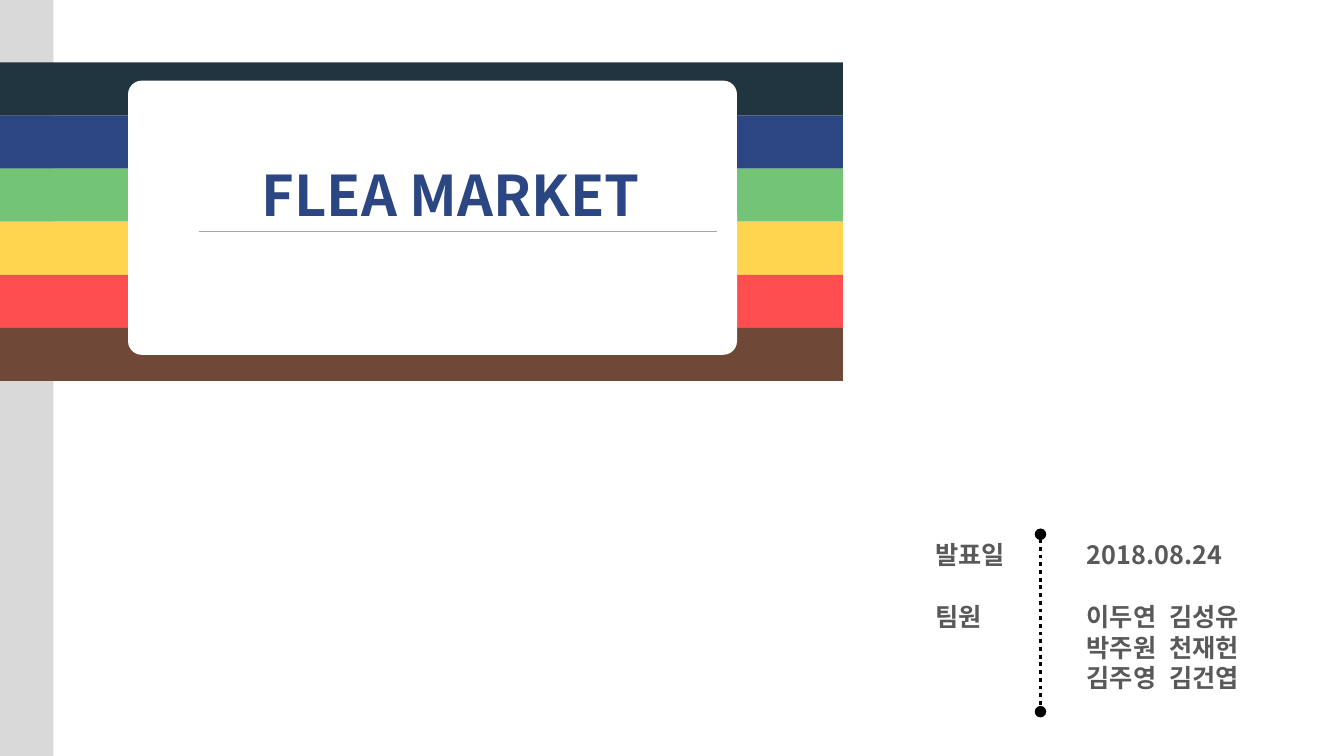
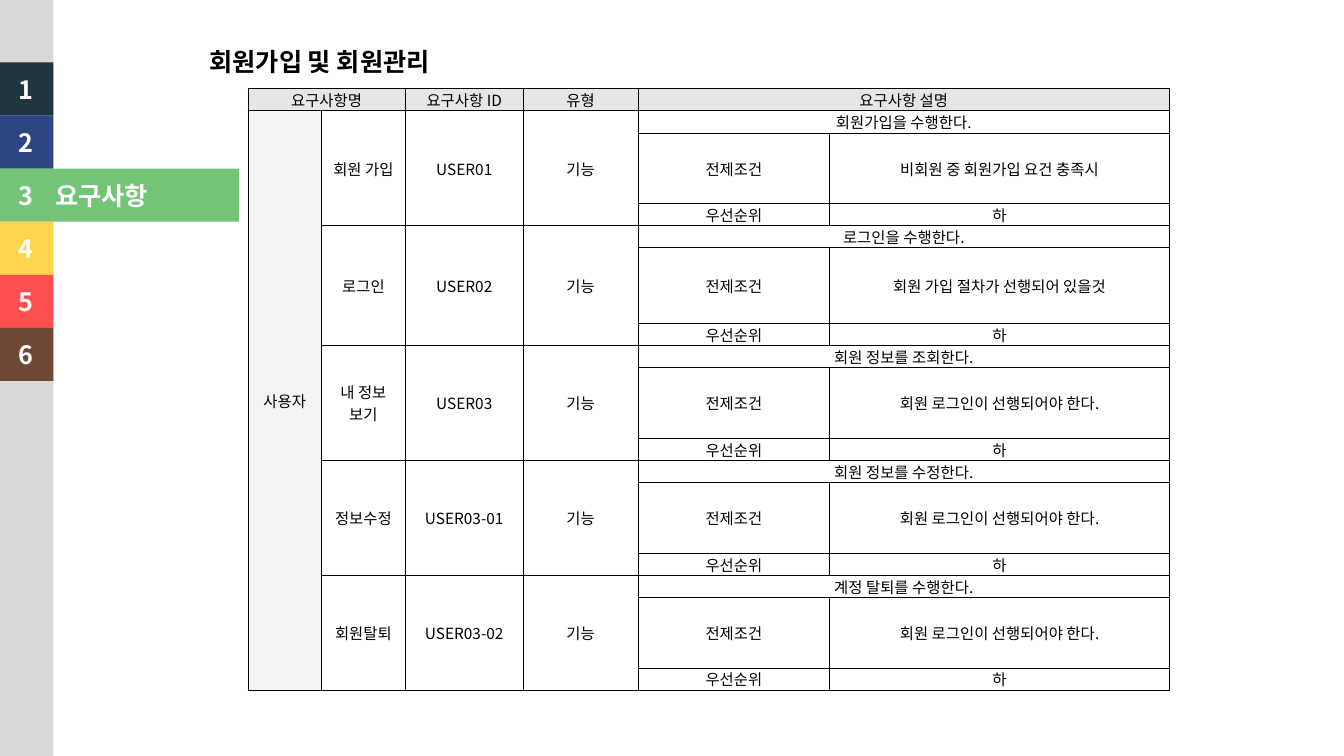
from lxml.etree import SubElement
from pptx import Presentation
from pptx.dml.color import RGBColor
from pptx.enum.dml import MSO_LINE
from pptx.enum.shapes import MSO_CONNECTOR, MSO_SHAPE
from pptx.enum.text import MSO_ANCHOR, PP_ALIGN
from pptx.oxml.ns import qn
from pptx.util import Inches, Pt

FONT = "Noto Sans CJK KR"
GREY, WHITE, BLACK, DARK_GREY = "D9D9D9", "FFFFFF", "000000", "595959"
NAVY, GREEN, RED = "2B4682", "74C478", "FE4E50"
BAND_COLORS = ["213540", NAVY, GREEN, "FFD44E", RED, "704837"]
BAND_TOP, BAND_HEIGHT = 0.62, 3.16 / 6
SIDEBAR_WIDTH, COVER_BAND_WIDTH, CURRENT_TAB_WIDTH = 0.53, 8.36, 2.37
CURRENT_TAB = 2
LINE_RATIO = 1.22
hex_color = RGBColor.from_string


def add_block(slide, left, top, width, height, color, kind=MSO_SHAPE.RECTANGLE):
    block = slide.shapes.add_shape(
        kind, Inches(left), Inches(top), Inches(width), Inches(height))
    block.shadow.inherit = False
    block.fill.solid()
    block.fill.fore_color.rgb = hex_color(color)
    block.line.fill.background()
    return block


def write(frame, text, size, color, bold=False, align=PP_ALIGN.LEFT):
    for index, line in enumerate(text.split("\n")):
        paragraph = frame.paragraphs[0] if index == 0 else frame.add_paragraph()
        paragraph.alignment = align
        run = paragraph.add_run()
        run.text = line
        run.font.size = Pt(size)
        run.font.bold = bold
        run.font.name = FONT
        run.font.color.rgb = hex_color(color)
        SubElement(run.font._element, qn("a:ea"), typeface=FONT)


prs = Presentation()
prs.slide_width, prs.slide_height = Inches(13.33), Inches(7.5)
cover, requirements = [prs.slides.add_slide(prs.slide_layouts[6]) for _ in range(2)]

for slide in (cover, requirements):
    add_block(slide, 0, 0, SIDEBAR_WIDTH, 7.5, GREY)
    for index, color in enumerate(BAND_COLORS):
        if slide is cover:
            width = COVER_BAND_WIDTH
        else:
            width = CURRENT_TAB_WIDTH if index == CURRENT_TAB else SIDEBAR_WIDTH
        add_block(slide, 0, BAND_TOP + index * BAND_HEIGHT, width, BAND_HEIGHT, color)

card = add_block(cover, 1.27, 0.8, 6.04, 2.72, WHITE, MSO_SHAPE.ROUNDED_RECTANGLE)
card.adjustments[0] = 0.05

rules = []
for x1, y1, x2, y2, color, weight in [
    (1.97, 2.3, 7.11, 2.3, "A6A6A6", 0.5),
    (10.32, 5.3, 10.32, 7.06, BLACK, 2.75),
]:
    rule = cover.shapes.add_connector(
        MSO_CONNECTOR.STRAIGHT, Inches(x1), Inches(y1), Inches(x2), Inches(y2))
    rule.line.color.rgb = hex_color(color)
    rule.line.width = Pt(weight)
    SubElement(rule._element.spPr, qn("a:effectLst"))
    rules.append(rule)
divider = rules[1]
divider.line.dash_style = MSO_LINE.ROUND_DOT
for end in ("a:headEnd", "a:tailEnd"):
    SubElement(divider.line._get_or_add_ln(), qn(end), type="oval")

labels = [
    (cover, 1.9, 1.53, 5.14, 0.77, "FLEA MARKET", 40, NAVY, PP_ALIGN.CENTER),
    (cover, 9.18, 5.3, 0.98, 0.4, "발표일", 18, DARK_GREY, PP_ALIGN.LEFT),
    (cover, 9.18, 5.91, 0.98, 0.4, "팀원", 18, DARK_GREY, PP_ALIGN.LEFT),
    (cover, 10.68, 5.3, 2, 1.62,
     "2018.08.24\n이두연\t김성유\n박주원\t천재헌\n김주영\t김건엽",
     18, DARK_GREY, PP_ALIGN.LEFT),
    (requirements, 0.45, 1.73, 1.8, 0.4, "요구사항", 18, WHITE, PP_ALIGN.LEFT),
    (requirements, 1.98, 0.41, 4, 0.4, "회원가입 및 회원관리", 18, BLACK, PP_ALIGN.LEFT),
]
for index in range(len(BAND_COLORS)):
    labels.append((requirements, 0.09, BAND_TOP + 0.06 + index * BAND_HEIGHT, 0.5, 0.4,
                   str(index + 1), 18, WHITE, PP_ALIGN.LEFT))

frames = {}
for slide, left, top, width, height, text, size, color, align in labels:
    frame = slide.shapes.add_textbox(
        Inches(left), Inches(top), Inches(width), Inches(height)).text_frame
    frame.word_wrap = True
    write(frame, text, size, color, True, align)
    for paragraph in frame.paragraphs:
        paragraph.line_spacing = Pt(size * LINE_RATIO)
    frames[text] = frame

title_fill = frames["FLEA MARKET"].paragraphs[0].runs[0].font.fill
title_fill.gradient()
title_fill.gradient_angle = 0
for stop, color in zip(title_fill.gradient_stops, (NAVY, RED)):
    stop.color.rgb = hex_color(color)

team_lines = frames[labels[3][5]].paragraphs[1:]
team_lines[0].space_before = Pt(22)
for team_line in team_lines:
    tabs = SubElement(team_line._p.get_or_add_pPr(), qn("a:tabLst"))
    SubElement(tabs, qn("a:tab"), pos=str(Inches(0.82)), algn="l")

features = [
    ("회원 가입", "USER01", "회원가입을 수행한다.", "비회원 중 회원가입 요건 충족시", 0.7),
    ("로그인", "USER02", "로그인을 수행한다.", "회원 가입 절차가 선행되어 있을것", 0.75),
    ("내 정보\n보기", "USER03", "회원 정보를 조회한다.", "회원 로그인이 선행되어야 한다.", 0.7),
    ("정보수정", "USER03-01", "회원 정보를 수정한다.", "회원 로그인이 선행되어야 한다.", 0.7),
    ("회원탈퇴", "USER03-02", "계정 탈퇴를 수행한다.", "회원 로그인이 선행되어야 한다.", 0.7),
]
column_widths = [0.73, 0.83, 1.17, 1.14, 1.9, 3.37]
row_heights = [0.22]
rows = [["요구사항명", "", "요구사항 ID", "유형", "요구사항 설명", ""]]
for name, code, description, condition, height in features:
    row_heights += [0.22, height, 0.22]
    rows += [
        ["", name, code, "기능", description, ""],
        ["", "", "", "", "전제조건", condition],
        ["", "", "", "", "우선순위", "하"],
    ]
rows[1][0] = "사용자"

table = requirements.shapes.add_table(
    len(rows), len(column_widths), Inches(2.46), Inches(0.88),
    Inches(sum(column_widths)), Inches(sum(row_heights))).table
table.first_row = table.horz_banding = False
for column, width in zip(table.columns, column_widths):
    column.width = Inches(width)
for row, height in zip(table.rows, row_heights):
    row.height = Inches(height)

for r, row in enumerate(rows):
    for c, text in enumerate(row):
        cell = table.cell(r, c)
        cell.vertical_anchor = MSO_ANCHOR.MIDDLE
        cell.margin_left = cell.margin_right = Inches(0.02)
        cell.margin_top = cell.margin_bottom = 0
        for side in ("a:lnL", "a:lnR", "a:lnT", "a:lnB"):
            border = SubElement(cell._tc.get_or_add_tcPr(), qn(side), w=str(Pt(0.56)))
            ink = SubElement(border, qn("a:solidFill"))
            SubElement(ink, qn("a:srgbClr"), val=BLACK)
        cell.fill.solid()
        cell.fill.fore_color.rgb = hex_color(
            "E6E6E6" if r == 0 else "F3F3F3" if c == 0 else WHITE)
        write(cell.text_frame, text, 11, BLACK, align=PP_ALIGN.CENTER)

table.cell(0, 0).merge(table.cell(0, 1))
table.cell(0, 4).merge(table.cell(0, 5))
table.cell(1, 0).merge(table.cell(len(rows) - 1, 0))
for top in range(1, len(rows), 3):
    for c in (1, 2, 3):
        table.cell(top, c).merge(table.cell(top + 2, c))
    table.cell(top, 4).merge(table.cell(top, 5))

prs.save("out.pptx")
